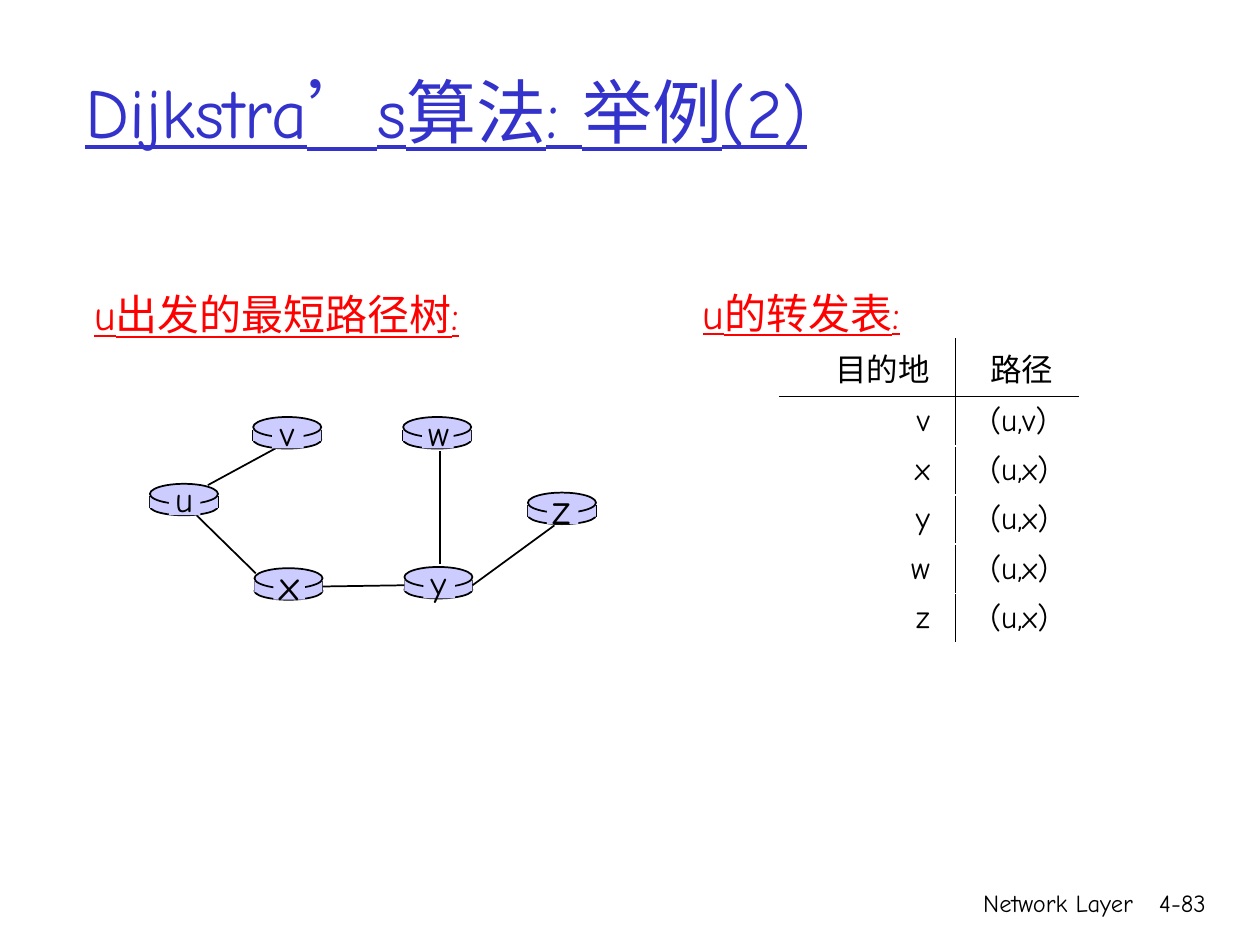
from lxml import etree
from pptx import Presentation
from pptx.dml.color import RGBColor
from pptx.enum.shapes import MSO_CONNECTOR, MSO_SHAPE
from pptx.enum.text import MSO_ANCHOR, PP_ALIGN
from pptx.oxml.ns import qn
from pptx.util import Inches, Pt

STRAIGHT = MSO_CONNECTOR.STRAIGHT
OVAL, RECTANGLE = MSO_SHAPE.OVAL, MSO_SHAPE.RECTANGLE
LEFT, CENTER, RIGHT = PP_ALIGN.LEFT, PP_ALIGN.CENTER, PP_ALIGN.RIGHT
TOP, MIDDLE = MSO_ANCHOR.TOP, MSO_ANCHOR.MIDDLE
LEFT_SIDE, RIGHT_SIDE = 1, 3

FONT = "Comic Neue"
BLACK, BLUE, RED, LILAC = "000000", "3333CC", "FF0000", "CCCCFF"

ROUTERS = {
    "u": (1.19, 3.84, 20),
    "x": (2.02, 4.51, 24),
    "v": (2.01, 3.31, 20),
    "w": (3.2, 3.31, 20),
    "y": (3.21, 4.5, 20),
    "z": (4.19, 3.91, 24),
}
ROUTES = [
    ("目的地", "路径"),
    ("v", "(u,v)"),
    ("x", "(u,x)"),
    ("y", "(u,x)"),
    ("w", "(u,x)"),
    ("z", "(u,x)"),
]


def color(value):
    """Turn a hex string into a colour."""
    return RGBColor.from_string(value)


def write(text_frame, text, size, text_color=BLACK, align=LEFT, underline=None):
    """Fill a text frame with one formatted paragraph."""
    text_frame.text = text
    paragraph = text_frame.paragraphs[0]
    paragraph.alignment = align
    for run in paragraph.runs:
        run.font.name = FONT
        run.font.size = Pt(size)
        run.font.color.rgb = color(text_color)
        run.font.underline = underline


def add_text(slide, box, text, size, anchor=TOP, wrap=True, **style):
    """Add a text box at left, top, width, height."""
    shape = slide.shapes.add_textbox(*map(Inches, box))
    shape.text_frame.word_wrap = wrap
    shape.text_frame.vertical_anchor = anchor
    write(shape.text_frame, text, size, **style)


def add_block(slide, kind, box, outlined=False):
    """Add a lilac preset shape, with or without a black outline."""
    shape = slide.shapes.add_shape(kind, *map(Inches, box))
    shape.shadow.inherit = False
    shape.fill.solid()
    shape.fill.fore_color.rgb = color(LILAC)
    if outlined:
        shape.line.color.rgb = color(BLACK)
        shape.line.width = Pt(1)
    else:
        shape.line.fill.background()
    return shape


def add_line(slide, start, end):
    """Add a thin black straight connector."""
    connector = slide.shapes.add_connector(STRAIGHT, *map(Inches, start + end))
    connector.line.color.rgb = color(BLACK)
    connector.line.width = Pt(1)
    etree.SubElement(connector._element.spPr, qn("a:effectLst"))
    return connector


def add_router(slide, left, top):
    """Draw a router as a flat cylinder and return its body."""
    add_block(slide, OVAL, (left, top + 0.11, 0.54, 0.14), outlined=True)
    for side in (left, left + 0.54):
        add_line(slide, (side, top + 0.1), (side, top + 0.19))
    body = add_block(slide, RECTANGLE, (left, top + 0.1, 0.54, 0.09))
    add_block(slide, OVAL, (left, top, 0.54, 0.16), outlined=True)
    return body


def add_router_label(slide, name, left, top, size):
    """Write a router's name on a plate that hides the outline."""
    add_block(slide, RECTANGLE, (left + 0.15, top + 0.02, 0.25, 0.23))
    add_text(slide, (left + 0.1, top - 0.11, 0.34, 0.46), name, size,
             anchor=MIDDLE, wrap=False, align=CENTER)


def add_tree(slide):
    """Draw the shortest path tree."""
    bodies = {name: add_router(slide, left, top)
              for name, (left, top, size) in ROUTERS.items()}
    add_line(slide, (1.65, 3.85), (2.24, 3.53))
    add_line(slide, (1.56, 4.09), (2.03, 4.55))
    add_line(slide, (3.49, 3.58), (3.49, 4.48))
    link_xy = add_line(slide, (2.56, 4.66), (3.21, 4.66))
    link_xy.begin_connect(bodies["x"], RIGHT_SIDE)
    link_xy.end_connect(bodies["y"], LEFT_SIDE)
    link_yz = add_line(slide, (3.75, 4.65), (4.4, 4.17))
    link_yz.begin_connect(bodies["y"], RIGHT_SIDE)
    for name, (left, top, size) in ROUTERS.items():
        add_router_label(slide, name, left, top, size)


def add_border(cell, side):
    """Give one side of a cell a thin black border."""
    line = etree.Element(qn(f"a:{side}"), w=str(Pt(0.75)))
    fill = etree.SubElement(line, qn("a:solidFill"))
    etree.SubElement(fill, qn("a:srgbClr"), val=BLACK)
    properties = cell._tc.get_or_add_tcPr()
    borders = properties.findall(qn("a:lnL")) + properties.findall(qn("a:lnR"))
    properties.insert(len(borders), line)


def add_forwarding_table(slide):
    """Add the forwarding table with a rule below its head and between columns."""
    box = map(Inches, (6.19, 2.69, 2.37, 2.41))
    table = slide.shapes.add_table(len(ROUTES), 2, *box).table
    table.first_row = table.horz_banding = False
    table.columns[0].width, table.columns[1].width = Inches(1.39), Inches(0.98)
    for row_index, route in enumerate(ROUTES):
        table.rows[row_index].height = Inches(0.39 if row_index else 0.46)
        for column_index, text in enumerate(route):
            cell = table.cell(row_index, column_index)
            cell.fill.background()
            cell.vertical_anchor = MIDDLE
            cell.margin_top = cell.margin_bottom = Inches(0.02)
            cell.margin_left, cell.margin_right = Inches(0.28), Inches(0)
            if column_index == 0:
                cell.margin_right = Inches(0.2)
            write(cell.text_frame, text, 18, align=LEFT if column_index else RIGHT)
            add_border(cell, "lnL" if column_index else "lnR")
            if row_index < 2:
                add_border(cell, "lnT" if row_index else "lnB")


def main():
    """Build the slide and save it."""
    presentation = Presentation()
    presentation.slide_width, presentation.slide_height = Inches(10), Inches(7.5)
    slide = presentation.slides.add_slide(presentation.slide_layouts[6])
    add_text(slide, (5.92, 7, 3.17, 0.5), "Network Layer", 14, align=RIGHT)
    add_text(slide, (8.93, 7, 0.74, 0.5), "4-83", 14, align=RIGHT)
    add_text(slide, (0.58, 0.25, 8.5, 1.25), "Dijkstra’s算法: 举例(2)", 40,
             anchor=MIDDLE, text_color=BLUE, underline=True)
    add_tree(slide)
    add_text(slide, (0.65, 2.24, 3.25, 0.5), "u出发的最短路径树:", 24,
             wrap=False, text_color=RED, underline=True)
    add_text(slide, (5.48, 2.23, 1.92, 0.5), "u的转发表:", 24,
             wrap=False, text_color=RED, underline=True)
    add_forwarding_table(slide)
    presentation.save("out.pptx")


if __name__ == "__main__":
    main()
